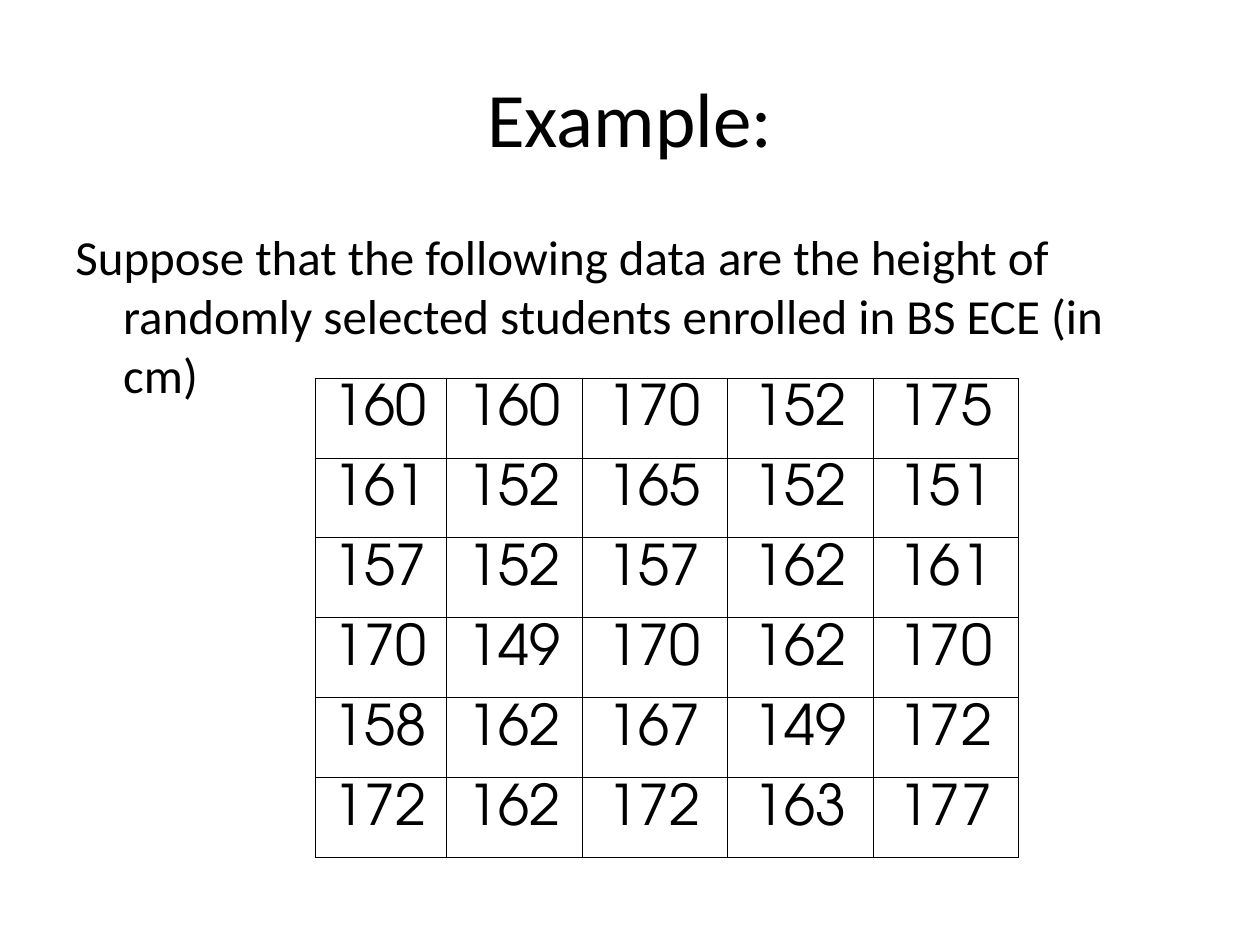
import pptx
import pptx.dml.color
import pptx.enum.text
import pptx.oxml
import pptx.oxml.ns
import pptx.util
from lxml import etree

BLACK = pptx.dml.color.RGBColor(0, 0, 0)
WHITE = pptx.dml.color.RGBColor(255, 255, 255)
BODY_FONT = "Calibri"
TABLE_FONT = "TeX Gyre Adventor"
HEIGHTS = [
    [160, 160, 170, 152, 175],
    [161, 152, 165, 152, 151],
    [157, 152, 157, 162, 161],
    [170, 149, 170, 162, 170],
    [158, 162, 167, 149, 172],
    [172, 162, 172, 163, 177],
]
COLUMN_WIDTHS = [1.04, 1.08, 1.15, 1.16, 1.15]
ROW_HEIGHT = 0.605


def add_run(paragraph, text, size, font_name):
    run = paragraph.add_run()
    run.text = text
    run.font.size = pptx.util.Pt(size)
    run.font.name = font_name
    run.font.color.rgb = BLACK


def add_borders(cell):
    """Put a thin black line on all four sides, ahead of the cell's fill."""
    properties = cell._tc.get_or_add_tcPr()
    for position, side in enumerate(("lnL", "lnR", "lnT", "lnB")):
        line = etree.Element(pptx.oxml.ns.qn(f"a:{side}"), w=str(pptx.util.Pt(0.45)))
        fill = etree.SubElement(line, pptx.oxml.ns.qn("a:solidFill"))
        etree.SubElement(fill, pptx.oxml.ns.qn("a:srgbClr"), val=str(BLACK))
        properties.insert(position, line)


presentation = pptx.Presentation()
presentation.slide_width = pptx.util.Inches(10)
presentation.slide_height = pptx.util.Inches(7.5)
width, height = presentation.slide_width, presentation.slide_height
slide = presentation.slides.add_slide(presentation.slide_layouts[5])
slide.background.fill.solid()
slide.background.fill.fore_color.rgb = WHITE

# Title
margin = int(width * 0.05)
content_width = width - 2 * margin
title = slide.shapes.title
title.left, title.top = margin, int(height * 0.04)
title.width, title.height = content_width, int(height / 6)
title.text_frame.vertical_anchor = pptx.enum.text.MSO_ANCHOR.MIDDLE
paragraph = title.text_frame.paragraphs[0]
paragraph.alignment = pptx.enum.text.PP_ALIGN.CENTER
add_run(paragraph, "Example:", 44, BODY_FONT)

# Problem statement with a hanging indent
statement = slide.shapes.add_textbox(
    margin, int(height * 7 / 30), content_width, int(height * 0.66))
statement.text_frame.word_wrap = True
paragraph = statement.text_frame.paragraphs[0]
indent = pptx.util.Inches(0.38)
paragraph_properties = paragraph._p.get_or_add_pPr()
paragraph_properties.set("marL", str(indent))
paragraph_properties.set("indent", str(-indent))
add_run(
    paragraph,
    "Suppose that the following data are the height of randomly selected "
    "students enrolled in BS ECE (in cm)",
    28, BODY_FONT)

# Table of student heights
row_count, column_count = len(HEIGHTS), len(COLUMN_WIDTHS)
table = slide.shapes.add_table(
    row_count, column_count, int(width * 0.25), int(height * 0.4),
    pptx.util.Inches(sum(COLUMN_WIDTHS)),
    pptx.util.Inches(ROW_HEIGHT * row_count)).table
table.first_row = False
table.horz_banding = False
for column, column_width in zip(table.columns, COLUMN_WIDTHS):
    column.width = pptx.util.Inches(column_width)

for row, values in zip(table.rows, HEIGHTS):
    row.height = pptx.util.Inches(ROW_HEIGHT)
    for cell, value in zip(row.cells, values):
        cell.margin_left = cell.margin_right = pptx.util.Inches(0.08)
        cell.margin_top = cell.margin_bottom = pptx.util.Inches(0.05)
        cell.fill.solid()
        cell.fill.fore_color.rgb = WHITE
        add_borders(cell)
        paragraph = cell.text_frame.paragraphs[0]
        paragraph.alignment = pptx.enum.text.PP_ALIGN.CENTER
        add_run(paragraph, str(value), 32, TABLE_FONT)

presentation.save("out.pptx")
